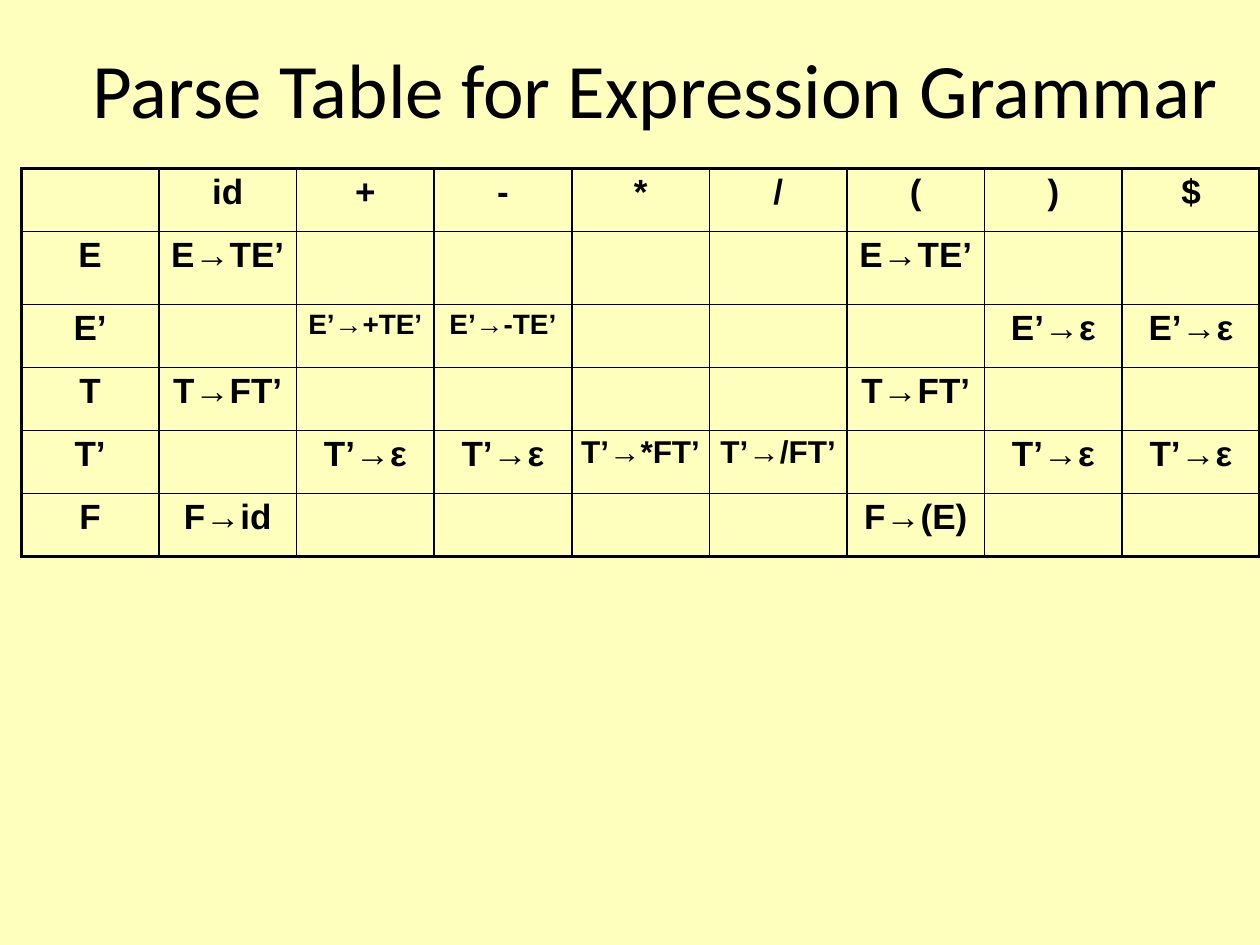
from dataclasses import dataclass

from lxml.etree import SubElement
from pptx import Presentation
from pptx.dml.color import RGBColor
from pptx.enum.text import MSO_ANCHOR, PP_ALIGN
from pptx.oxml.ns import qn
from pptx.util import Cm, Pt


@dataclass(frozen=True)
class Theme:
    background: str = "FFFFBD"
    ink: str = "000000"
    title_font: str = "Calibri"
    table_font: str = "Arial"
    title_size: float = 44
    cell_size: float = 20
    medium_size: float = 18
    small_size: float = 16
    outer_line: float = 2.25
    inner_line: float = 1


THEME = Theme()
TERMINALS = ["id", "+", "-", "*", "/", "(", ")", "$"]
PRODUCTIONS = {
    "E": {"id": "E→TE’", "(": "E→TE’"},
    "E’": {"+": "E’→+TE’", "-": "E’→-TE’", ")": "E’→ε", "$": "E’→ε"},
    "T": {"id": "T→FT’", "(": "T→FT’"},
    "T’": {"+": "T’→ε", "-": "T’→ε", "*": "T’→*FT’", "/": "T’→/FT’",
           ")": "T’→ε", "$": "T’→ε"},
    "F": {"id": "F→id", "(": "F→(E)"},
}
SIZES = {
    "E’→+TE’": THEME.small_size,
    "E’→-TE’": THEME.small_size,
    "T’→*FT’": THEME.medium_size,
    "T’→/FT’": THEME.medium_size,
}


def style_paragraph(paragraph, font_name, size, bold=False):
    paragraph.alignment = PP_ALIGN.CENTER
    paragraph.font.name = font_name
    paragraph.font.size = Pt(size)
    paragraph.font.bold = bold
    paragraph.font.color.rgb = RGBColor.from_string(THEME.ink)


def add_title(slide, left, top, width, height, text):
    text_frame = slide.shapes.add_textbox(left, top, width, height).text_frame
    text_frame.word_wrap = True
    text_frame.vertical_anchor = MSO_ANCHOR.MIDDLE
    paragraph = text_frame.paragraphs[0]
    paragraph.text = text
    style_paragraph(paragraph, THEME.title_font, THEME.title_size)


def add_borders(cell, outer_edges):
    properties = cell._tc.get_or_add_tcPr()
    for edge, is_outer in outer_edges.items():
        width = THEME.outer_line if is_outer else THEME.inner_line
        line = SubElement(properties, qn(f"a:ln{edge}"), w=str(Pt(width)))
        fill = SubElement(line, qn("a:solidFill"))
        SubElement(fill, qn("a:srgbClr"), val=THEME.ink)


def fill_cell(cell, text):
    cell.margin_left = cell.margin_right = Cm(0.13)
    cell.margin_top = cell.margin_bottom = Cm(0.13)
    paragraph = cell.text_frame.paragraphs[0]
    paragraph.text = text
    paragraph.line_spacing = 0.95
    size = SIZES.get(text, THEME.cell_size)
    style_paragraph(paragraph, THEME.table_font, size, bold=True)


def add_parse_table(slide, left, top, width, row_heights):
    rows = [["", *TERMINALS]]
    for nonterminal, entries in PRODUCTIONS.items():
        rows.append([nonterminal, *(entries.get(terminal, "") for terminal in TERMINALS)])
    last_row, last_column = len(rows) - 1, len(TERMINALS)
    table = slide.shapes.add_table(
        len(rows), last_column + 1, left, top, width, sum(row_heights)).table
    table.first_row = table.horz_banding = False
    for row, height in zip(table.rows, row_heights):
        row.height = height
    for row_index, texts in enumerate(rows):
        for column_index, text in enumerate(texts):
            cell = table.cell(row_index, column_index)
            fill_cell(cell, text)
            add_borders(cell, {
                "L": column_index == 0,
                "R": column_index == last_column,
                "T": row_index == 0,
                "B": row_index == last_row,
            })
            cell.fill.background()


def build_slide(presentation):
    slide = presentation.slides.add_slide(presentation.slide_layouts[6])
    slide.background.fill.solid()
    slide.background.fill.fore_color.rgb = RGBColor.from_string(THEME.background)
    add_title(slide, Cm(1.12), Cm(0.69), Cm(24.2), Cm(2.16),
              "Parse Table for Expression Grammar")
    row_heights = [Cm(1.27)] * (len(PRODUCTIONS) + 1)
    row_heights[1] = Cm(1.47)
    add_parse_table(slide, Cm(0.43), Cm(3.4), Cm(24.97), row_heights)


presentation = Presentation()
presentation.slide_width = Cm(25.4)
presentation.slide_height = Cm(19.05)
build_slide(presentation)
presentation.save("out.pptx")
